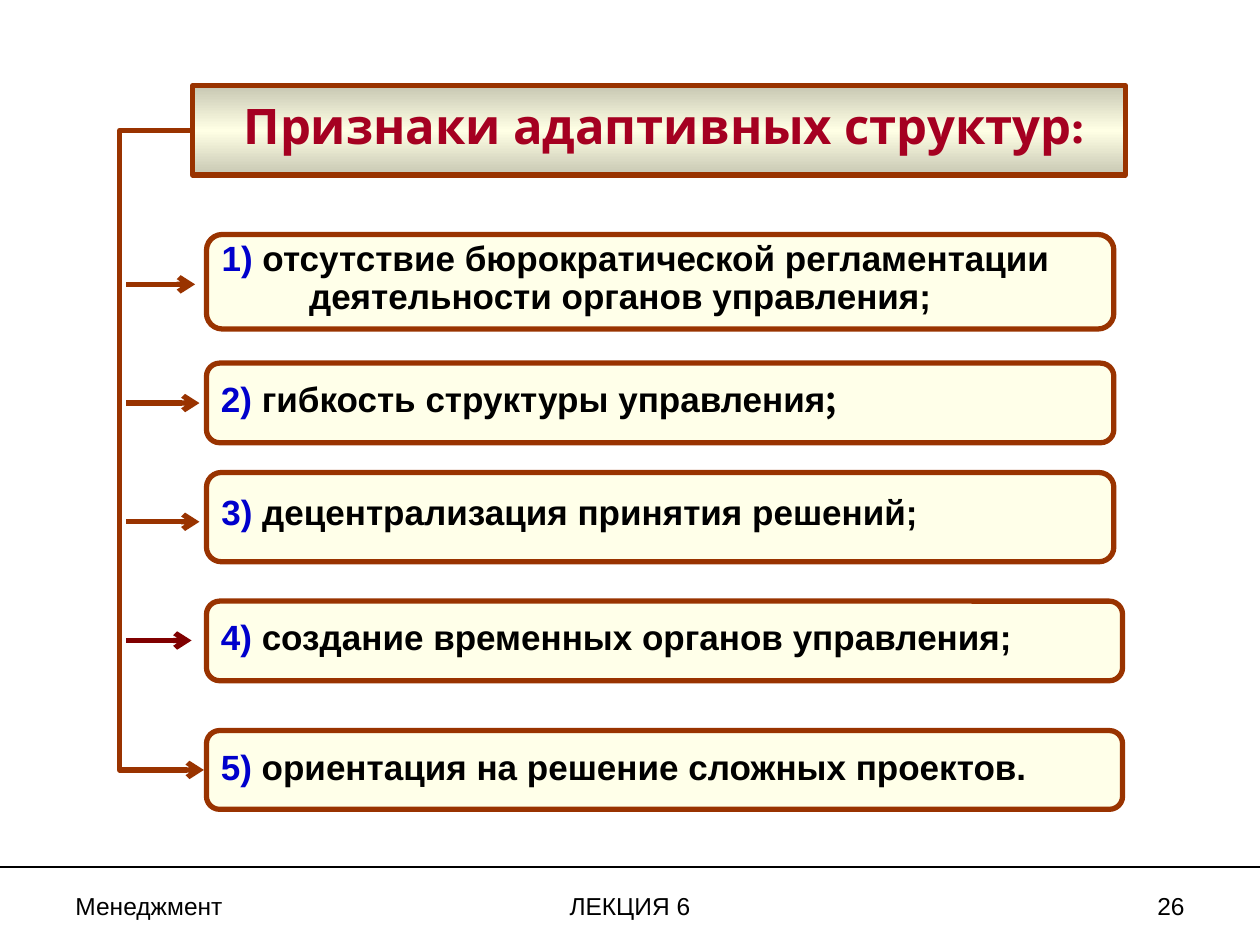
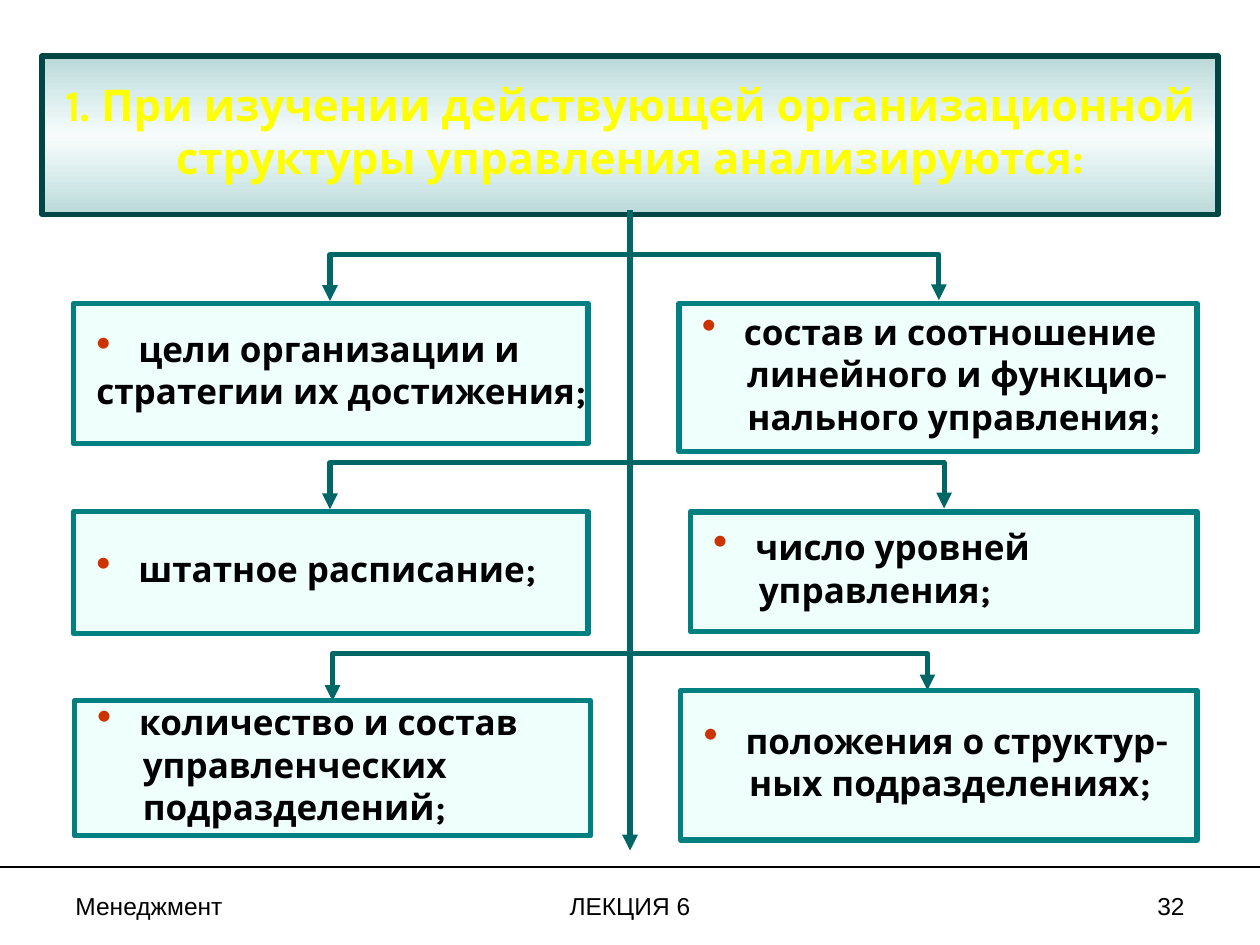
import pptx
import pptx.util
import pptx.oxml
import pptx.oxml.ns
import pptx.dml.color
import pptx.enum.shapes
import pptx.enum.text
from lxml import etree

Pt = pptx.util.Pt
RGBColor = pptx.dml.color.RGBColor
Align = pptx.enum.text.PP_ALIGN
ShapeType = pptx.enum.shapes.MSO_SHAPE
ConnectorType = pptx.enum.shapes.MSO_CONNECTOR
qn = pptx.oxml.ns.qn

BLACK = RGBColor(0x00, 0x00, 0x00)
BROWN = RGBColor(0x99, 0x33, 0x00)
MAROON = RGBColor(0x80, 0x00, 0x00)
CRIMSON = RGBColor(0xA5, 0x00, 0x21)
BLUE = RGBColor(0x00, 0x00, 0xCC)
CREAM = RGBColor(0xFF, 0xFF, 0xE9)
SAND = RGBColor(0xC8, 0xC8, 0xB3)
IVORY = RGBColor(0xFF, 0xFF, 0xE5)
YELLOW = RGBColor(0xFF, 0xFF, 0x00)
DEEP_TEAL = RGBColor(0x00, 0x6E, 0x6E)
BRIGHT_TEAL = RGBColor(0x00, 0x99, 0x99)
DARK_TEAL = RGBColor(0x00, 0x46, 0x44)
ARROW_TEAL = RGBColor(0x00, 0x66, 0x66)
BORDER_TEAL = RGBColor(0x00, 0x80, 0x80)
MINT = RGBColor(0xEF, 0xFF, 0xFC)
BULLET_RED = RGBColor(0xCC, 0x33, 0x00)


def write(paragraph, text, font="Arial", size=20, color=BLACK, bold=True, align=Align.LEFT,
          spacing=1.0, before=0, indent=0, first=0, bullet=None):
    """Append a formatted run and set the format of its paragraph."""
    properties = paragraph._p.get_or_add_pPr()
    properties.set("marL", str(Pt(indent)))
    properties.set("indent", str(Pt(first)))
    if bullet is not None:
        bullet_color = etree.SubElement(properties, qn("a:buClr"))
        etree.SubElement(bullet_color, qn("a:srgbClr"), val=str(bullet))
        etree.SubElement(properties, qn("a:buSzPct"), val="120000")
        etree.SubElement(properties, qn("a:buChar"), char="•")
    paragraph.alignment = align
    paragraph.line_spacing = spacing
    paragraph.space_before = Pt(before)
    run = paragraph.add_run()
    run.text = text
    run.font.name, run.font.size, run.font.bold = font, Pt(size), bold
    run.font.color.rgb = color


def draw_line(slide, start, end, color, width=3, head=None, tail=None, bend=None, rotation=0):
    """Draw a straight connector, or an elbow one when bend is given."""
    kind = ConnectorType.STRAIGHT if bend is None else ConnectorType.ELBOW
    connector = slide.shapes.add_connector(kind, *(Pt(value) for value in (*start, *end)))
    connector.line.color.rgb = color
    connector.line.width = Pt(width)
    properties = connector.element.spPr
    outline = properties.find(qn("a:ln"))
    for tag, arrow in (("a:headEnd", head), ("a:tailEnd", tail)):
        if arrow:
            etree.SubElement(outline, qn(tag), type=arrow)
    etree.SubElement(properties, qn("a:effectLst"))
    if bend is not None:
        adjustments = properties.find(qn("a:prstGeom")).find(qn("a:avLst"))
        etree.SubElement(adjustments, qn("a:gd"), name="adj1", fmla=f"val {round(bend * 100000)}")
    if rotation:
        properties.find(qn("a:xfrm")).set("rot", str(rotation * 60000))


presentation = pptx.Presentation()
presentation.slide_width, presentation.slide_height = Pt(720), Pt(540)
title_only = presentation.slide_layouts[5]

# Titles and footers of both slides
headings = [
    dict(number="26", lines=["Признаки адаптивных структур:"], size=28, color=CRIMSON,
         frame=(110, 49, 533, 51), inset=6, geometry="rect", border=BROWN,
         stops=[(SAND, 100), (IVORY, 100), (SAND, 100)]),
    dict(number="32", size=25, color=YELLOW,
         lines=["1. При изучении действующей организационной",
                "структуры управления анализируются:"],
         frame=(24, 32, 672, 90.5), inset=0, geometry="roundRect", border=DARK_TEAL,
         stops=[(DEEP_TEAL, 27), (BRIGHT_TEAL, 2), (DEEP_TEAL, 27)]),
]
for heading in headings:
    slide = presentation.slides.add_slide(title_only)
    title = slide.shapes.title
    title.left, title.top, title.width, title.height = (Pt(value) for value in heading["frame"])

    # Outline and vertical three-stop gradient of the title
    properties = title.element.spPr
    geometry = etree.SubElement(properties, qn("a:prstGeom"), prst=heading["geometry"])
    etree.SubElement(geometry, qn("a:avLst"))
    gradient = etree.SubElement(properties, qn("a:gradFill"))
    stop_list = etree.SubElement(gradient, qn("a:gsLst"))
    for position, (color, opacity) in zip((0, 50, 100), heading["stops"]):
        stop = etree.SubElement(stop_list, qn("a:gs"), pos=str(position * 1000))
        stop_color = etree.SubElement(stop, qn("a:srgbClr"), val=str(color))
        if opacity < 100:
            etree.SubElement(stop_color, qn("a:alpha"), val=str(opacity * 1000))
    etree.SubElement(gradient, qn("a:lin"), ang="5400000", scaled="0")
    title.line.color.rgb = heading["border"]
    title.line.width = Pt(3)

    text_frame = title.text_frame
    text_frame.auto_size = pptx.enum.text.MSO_AUTO_SIZE.NONE
    text_frame.word_wrap = True
    text_frame.vertical_anchor = pptx.enum.text.MSO_ANCHOR.MIDDLE
    text_frame.margin_left, text_frame.margin_right = Pt(heading["inset"]), 0
    for index, line in enumerate(heading["lines"]):
        paragraph = text_frame.add_paragraph() if index else text_frame.paragraphs[0]
        write(paragraph, line, font="Karla", size=heading["size"], color=heading["color"],
              align=Align.CENTER, spacing=0.8, before=6.2 if index else 0)

    # Footer
    draw_line(slide, (0, 495.5), (720, 495.5), BLACK, width=1.5)
    for left, width, text, align in [
        (36, 168, "Менеджмент", Align.LEFT),
        (246, 228, "ЛЕКЦИЯ 6", Align.CENTER),
        (516, 168, heading["number"], Align.RIGHT),
    ]:
        footer = slide.shapes.add_textbox(Pt(left), Pt(505.5), Pt(width), Pt(24.5))
        footer.text_frame.word_wrap = True
        write(footer.text_frame.paragraphs[0], text, size=14, bold=False, align=align)

features_slide, analysis_slide = presentation.slides

# Slide 1: bracket from the title to the last feature, arrows to the others
draw_line(features_slide, (109, 74.5), (116.5, 440), BROWN, tail="arrow", bend=-5.4)
for index, (tip, color) in enumerate([(111.5, BROWN), (114, BROWN), (114, BROWN), (109.5, MAROON)]):
    y = 162.5 + 67.83 * index
    draw_line(features_slide, (72, y), (tip, y), color, tail="arrow")

# Slide 2: trunk and a forked arrow for each row of boxes
draw_line(analysis_slide, (360, 120), (360, 486), ARROW_TEAL, tail="triangle")
for left, right, bar, left_tip, right_tip in [
    (188.5, 536.5, 146, 172, 171.5),
    (188.5, 539.5, 265, 291, 290.5),
    (190, 530, 373.5, 400.5, 394.5),
]:
    # The elbow is laid out upright, then turned a quarter to the left
    rise, span = left_tip - right_tip, right - left
    center_x, center_y = (left + right) / 2, (left_tip + right_tip) / 2
    draw_line(analysis_slide, (center_x - rise / 2, center_y - span / 2),
              (center_x + rise / 2, center_y + span / 2), ARROW_TEAL, head="triangle",
              tail="triangle", bend=(left_tip - bar) / rise, rotation=270)

# Boxes of both slides: frame, then lines of runs
features = [
    ((118, 134, 518.5, 54), 0.7, ["отсутствие бюрократической регламентации",
                                  "деятельности органов управления;"]),
    ((118, 207.5, 518.5, 45.5), 0.8, ["гибкость структуры управления"]),
    ((118, 270, 518.5, 51), 0.7, ["децентрализация принятия решений;"]),
    ((118, 343.5, 523.5, 45.5), 0.8, ["создание временных органов управления;"]),
    ((118, 417.5, 523.5, 45), 0.8, ["ориентация на решение сложных проектов."]),
]
subjects = [
    ((42, 173.5, 294, 80), 6, ["цели организации и", "стратегии их достижения;"]),
    ((388, 173.5, 296, 84.5), 32, ["состав и соотношение", "линейного и функцио-",
                                   "нального управления;"]),
    ((42, 292.5, 294, 69.5), 32, ["штатное расписание;"]),
    ((394.5, 292.5, 289.5, 68.5), 32, ["число уровней", "управления;"]),
    ((42.5, 400.5, 295, 77), 32, ["количество и состав", "управленческих", "подразделений;"]),
    ((389, 394.5, 295, 85.5), 32, ["положения о структур-", "ных подразделениях;"]),
]
box_groups = [
    (features_slide, ShapeType.ROUNDED_RECTANGLE, CREAM, BROWN, (6, 3), features),
    (analysis_slide, ShapeType.RECTANGLE, MINT, BORDER_TEAL, (7.2, 3.6), subjects),
]
for slide, outline, fill, border, (side, edge), boxes in box_groups:
    for number, (frame, setting, lines) in enumerate(boxes, 1):
        box = slide.shapes.add_shape(outline, *(Pt(value) for value in frame))
        box.shadow.inherit = False
        box.fill.solid()
        box.fill.fore_color.rgb = fill
        box.line.color.rgb = border
        box.line.width = Pt(3)
        text_frame = box.text_frame
        text_frame.word_wrap = False
        text_frame.vertical_anchor = pptx.enum.text.MSO_ANCHOR.MIDDLE
        text_frame.margin_left = text_frame.margin_right = Pt(side)
        text_frame.margin_top = text_frame.margin_bottom = Pt(edge)
        for index, line in enumerate(lines):
            paragraph = text_frame.add_paragraph() if index else text_frame.paragraphs[0]
            before = 5 if index else 0
            if slide is analysis_slide:
                # Bulleted first line, then lines at the given indent
                layout = dict(indent=setting) if index else dict(
                    indent=30, first=-24, bullet=BULLET_RED)
                write(paragraph, line, font="Karla", spacing=0.8, before=before, **layout)
            elif index:
                write(paragraph, line, spacing=setting, before=before, indent=50)
            else:
                layout = dict(spacing=setting, indent=27, first=-27)
                write(paragraph, f"{number})", color=BLUE, **layout)
                write(paragraph, f" {line}", **layout)
                if number == 2:
                    write(paragraph, ";", font="Noto Sans CJK TC", **layout)

presentation.save("out.pptx")
